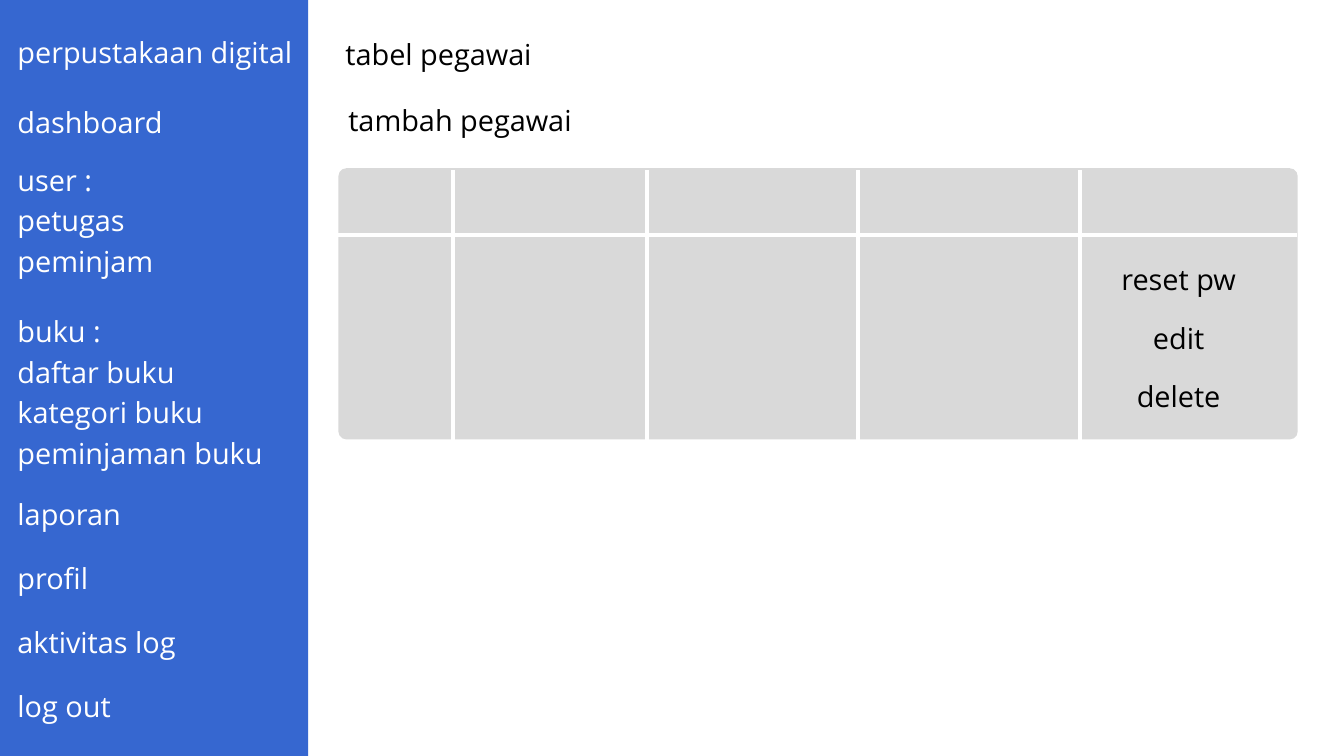
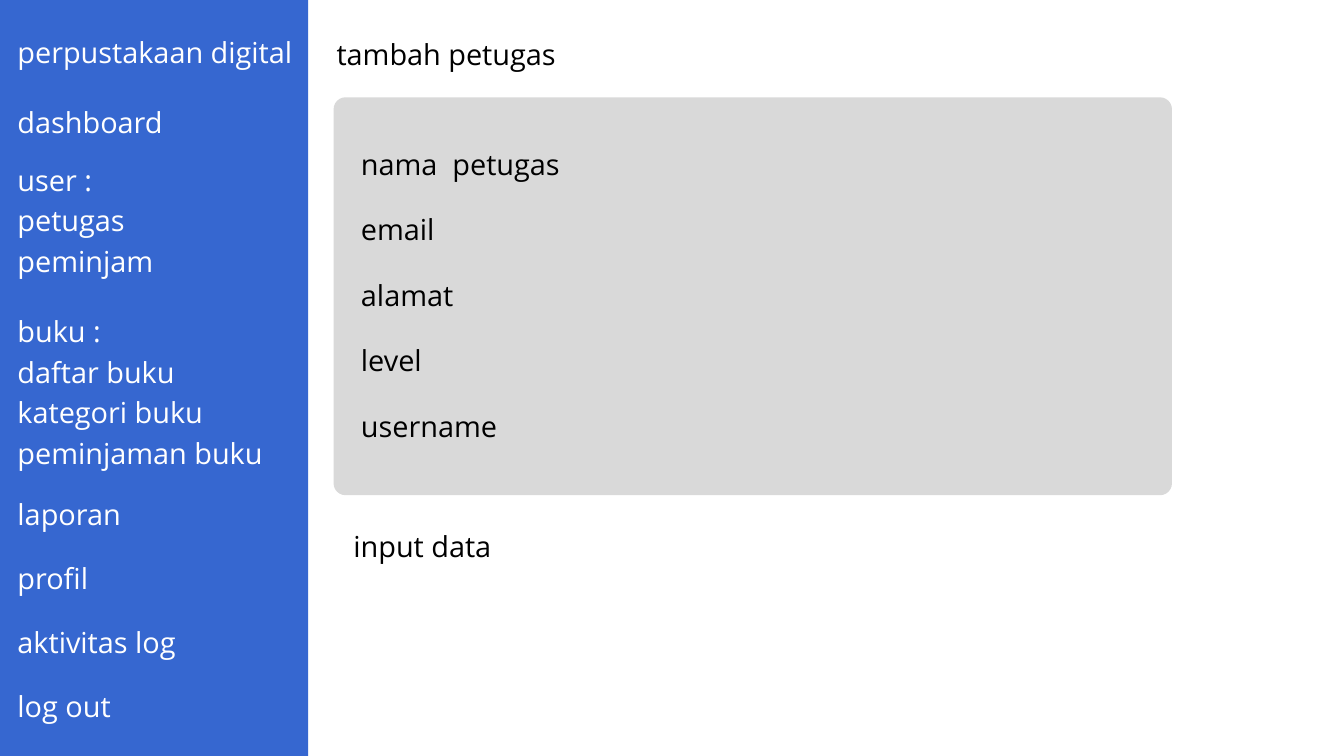
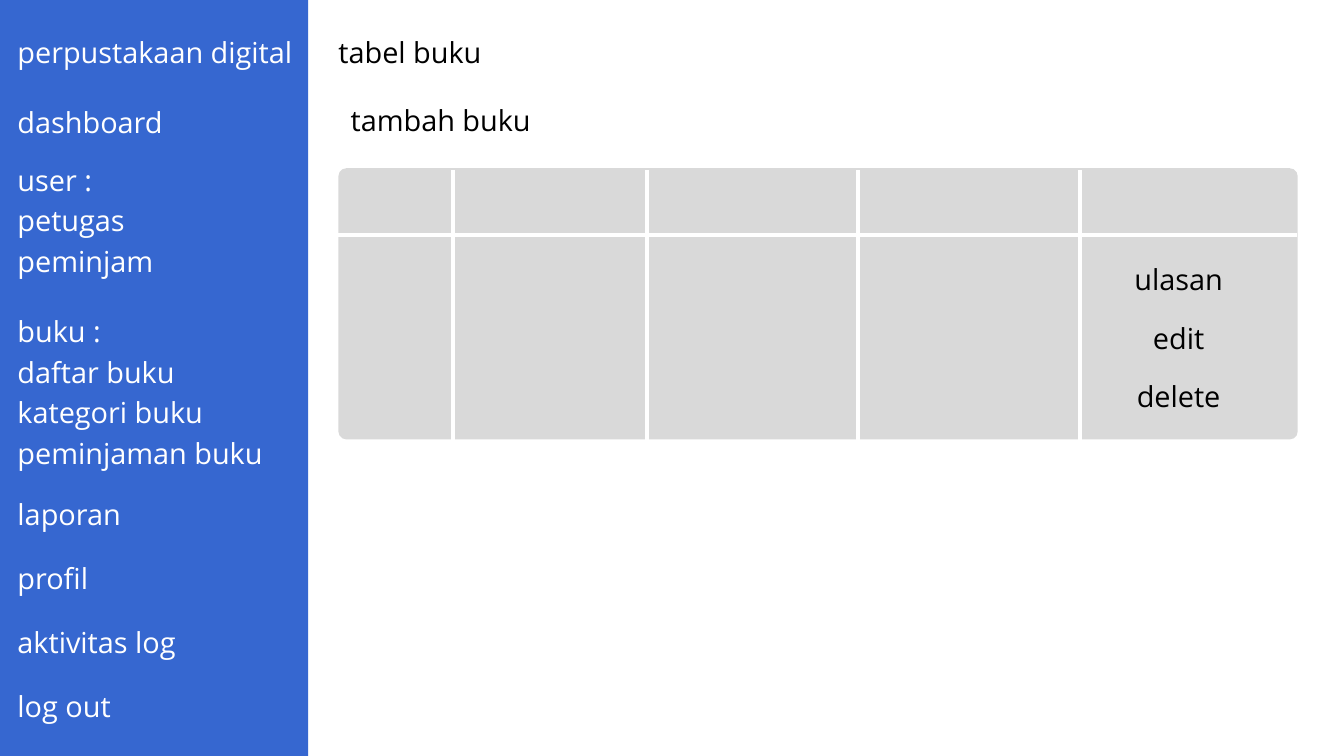
"""Build three wireframe screens of a digital library."""
from lxml.etree import SubElement
from pptx import Presentation
from pptx.dml.color import RGBColor
from pptx.enum.shapes import MSO_CONNECTOR, MSO_SHAPE
from pptx.enum.text import MSO_ANCHOR, MSO_AUTO_SIZE, PP_ALIGN
from pptx.oxml.ns import qn
from pptx.util import Inches, Pt

BLUE = RGBColor(0x36, 0x67, 0xD0)
GREY = RGBColor(0xD9, 0xD9, 0xD9)
WHITE = RGBColor(0xFF, 0xFF, 0xFF)
BLACK = RGBColor(0x00, 0x00, 0x00)
FONT = {"name": "Open Sans", "size": Pt(22), "bold": False}
FRAME = {"margin_left": 0, "margin_right": 0, "margin_top": 0, "margin_bottom": 0,
         "word_wrap": True, "auto_size": MSO_AUTO_SIZE.NONE,
         "vertical_anchor": MSO_ANCHOR.TOP}
PLACE = ("left", "top", "width", "height")

deck = Presentation()
deck.slide_width, deck.slide_height = Inches(14.22), Inches(8)
COL, ROW = deck.slide_width / 100, deck.slide_height / 100
LINE = 5.13


def put(box, words, area, color=BLACK, align=PP_ALIGN.LEFT):
    """Place a text shape on the grid and format its words."""
    for name, value, unit in zip(PLACE, area, (COL, ROW, COL, ROW)):
        setattr(box, name, round(value * unit))
    frame = box.text_frame
    frame.text = words
    for name, value in FRAME.items():
        setattr(frame, name, value)
    for para in frame.paragraphs:
        para.alignment, para.line_spacing = align, Pt(30.8)
        para.font.color.rgb = color
        for name, value in FONT.items():
            setattr(para.font, name, value)


def block(slide, kind, area, color):
    """Draw a plain filled shape on the grid."""
    x, y, wide, high = area
    shape = slide.shapes.add_shape(kind, round(x * COL), round(y * ROW),
                                   round(wide * COL), round(high * ROW))
    shape.shadow.inherit = False
    shape.fill.solid()
    shape.fill.fore_color.rgb = color
    shape.line.fill.background()
    return shape


MENU = [
    ("perpustakaan digital", 3.88, 20.75, 1),
    ("dashboard", 13.13, 20.75, 1),
    ("user :\npetugas peminjam", 20.75, 10.83, 3),
    ("buku :\ndaftar buku\nkategori buku\npeminjaman buku", 40.75, 20.75, 4),
]
for step, words in enumerate(("laporan", "profil", "aktivitas log", "log out")):
    MENU.append((words, 64.88 + 8.5 * step, 20.75, 1))

TABLE = (25.18, 22.25, 71.38, 35.88)
FORM = (24.82, 12.88, 62.38, 52.63)
RULES = [(x, 22.5, x, 58.38) for x in (33.68, 48.17, 63.85, 80.38)]
RULES.append((25.11, 31.13, 96.48, 31.13))
CELL = (82.28, 33.88, 10.83, 7.75, PP_ALIGN.CENTER)
FIELD = (26.86, 18.63, 20, 8.66, PP_ALIGN.LEFT)

PAGES = [
    ("tabel pegawai", 25.7, 4.13, "tambah pegawai", 25.92, 12.75,
     TABLE, RULES, CELL, ("reset pw", "edit", "delete")),
    ("tambah petugas", 25.04, 4.13, "input data", 26.3, 69.13,
     FORM, [], FIELD, ("nama  petugas", "email", "alamat", "level", "username")),
    ("tabel buku", 25.18, 3.88, "tambah buku", 26.09, 12.75,
     TABLE, RULES, CELL, ("ulasan", "edit", "delete")),
]

for title, left, top, button, x, y, area, rules, grid, items in PAGES:
    slide = deck.slides.add_slide(deck.slide_layouts[5])
    put(slide.shapes.title, title, (left, top, 20, LINE))

    block(slide, MSO_SHAPE.RECTANGLE, (0, 0, 22.93, 100), BLUE)
    for words, row, wide, lines in MENU:
        box = slide.shapes.add_textbox(0, 0, 0, 0)
        put(box, words, (1.3, row, wide, lines * LINE), WHITE)

    panel = block(slide, MSO_SHAPE.ROUNDED_RECTANGLE, area, GREY)
    panel.adjustments[0] = 0.03
    for x1, y1, x2, y2 in rules:
        rule = slide.shapes.add_connector(
            MSO_CONNECTOR.STRAIGHT, round(x1 * COL), round(y1 * ROW),
            round(x2 * COL), round(y2 * ROW))
        rule.line.color.rgb, rule.line.width = WHITE, Pt(3)
        SubElement(rule._element.spPr, qn("a:effectLst"))

    put(slide.shapes.add_textbox(0, 0, 0, 0), button, (x, y, 20, LINE))
    col, row, wide, step, align = grid
    for count, words in enumerate(items):
        box = slide.shapes.add_textbox(0, 0, 0, 0)
        put(box, words, (col, row + count * step, wide, LINE), align=align)

deck.save("out.pptx")
